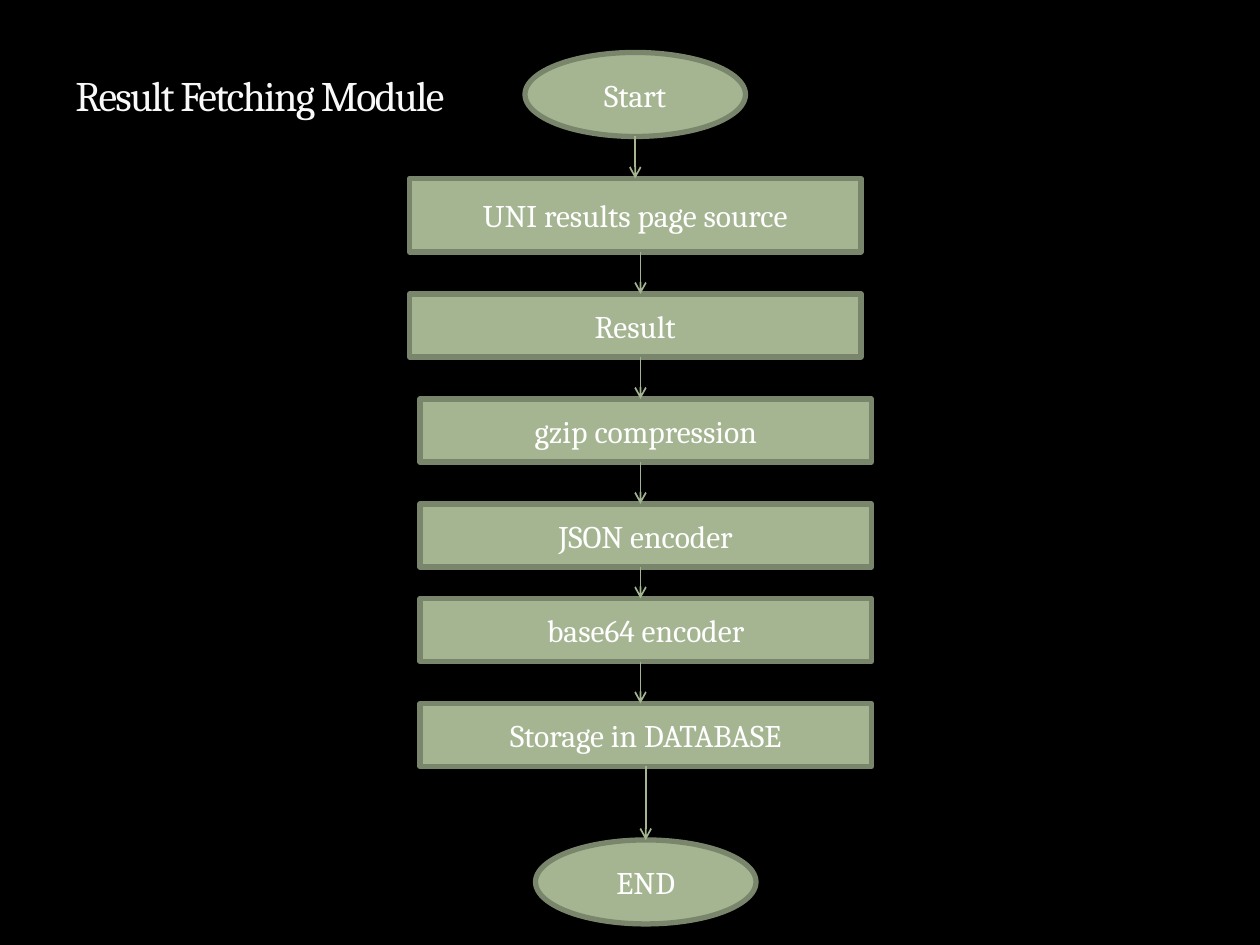
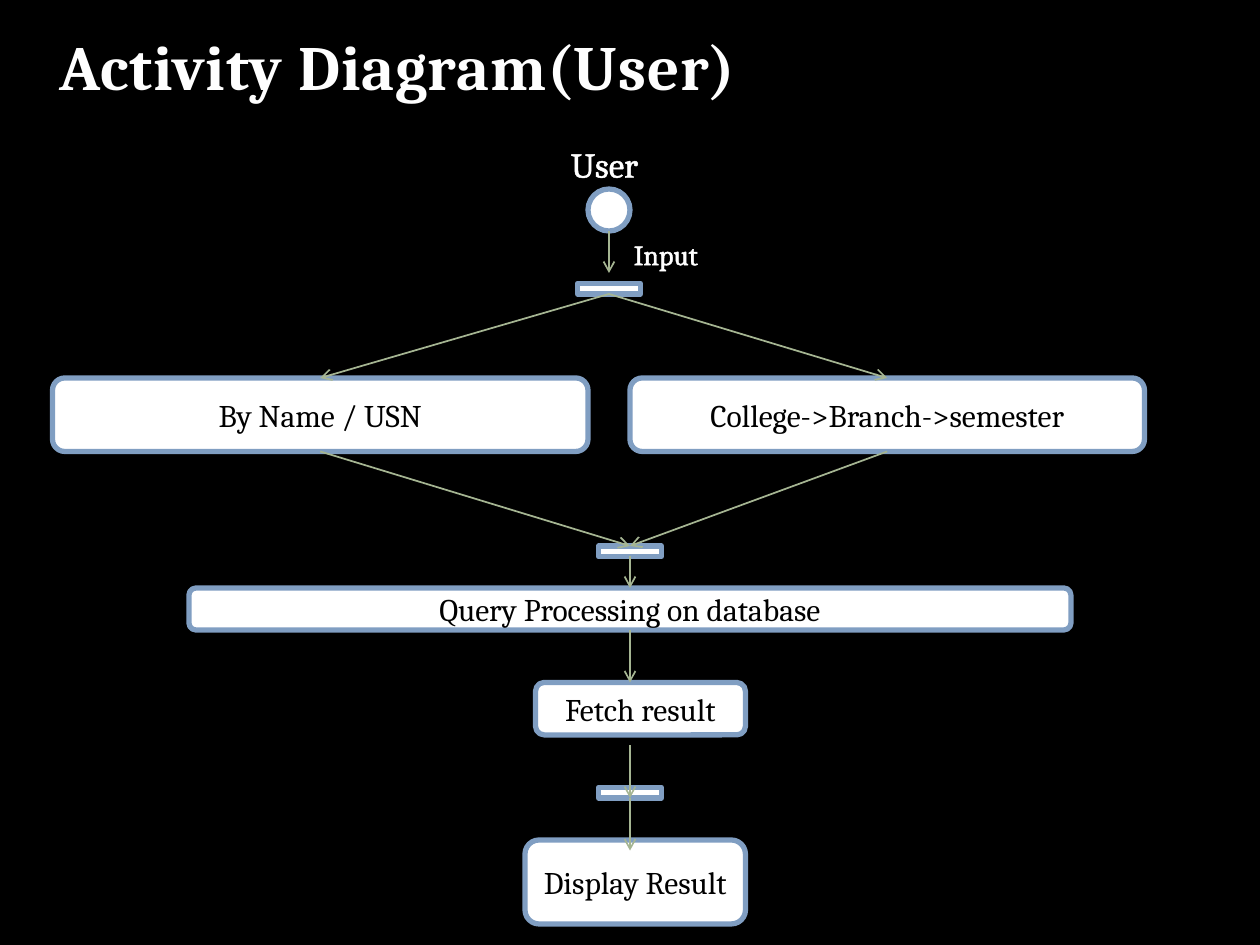
from lxml import etree
from pptx import Presentation
from pptx import util as u
from pptx.dml.color import RGBColor
from pptx.enum import shapes, text
from pptx.oxml import ns

Pt = u.Pt
BLACK = RGBColor(0, 0, 0)
WHITE = RGBColor(255, 255, 255)
SOFT_WHITE = RGBColor(0xF9, 0xF9, 0xF9)
BRIGHT_WHITE = RGBColor(0xFE, 0xFE, 0xFE)
SAGE = RGBColor(0xA5, 0xB5, 0x92)
DARK_SAGE = RGBColor(0x7A, 0x86, 0x6C)
MOSS = RGBColor(0x3C, 0x44, 0x22)
BLUE = RGBColor(0x80, 0x9E, 0xC2)
STEEL = RGBColor(0x6E, 0x8F, 0xB6)

OVAL = shapes.MSO_SHAPE.OVAL
RECT = shapes.MSO_SHAPE.RECTANGLE
BAR = shapes.MSO_SHAPE.FLOWCHART_PROCESS
ROUNDED = shapes.MSO_SHAPE.FLOWCHART_ALTERNATE_PROCESS
LEFT = text.PP_ALIGN.LEFT
CENTER = text.PP_ALIGN.CENTER
TOP = text.MSO_ANCHOR.TOP
MIDDLE = text.MSO_ANCHOR.MIDDLE
BOTTOM = text.MSO_ANCHOR.BOTTOM

GREEN_STYLE = {"fill": SAGE, "line": DARK_SAGE, "ink": WHITE}
BLUE_STYLE = {"fill": WHITE, "line": BLUE, "ink": BLACK}


def blank_slide(prs):
    """Add a blank slide with the black background."""
    s = prs.slides.add_slide(prs.slide_layouts[6])
    s.background.fill.solid()
    s.background.fill.fore_color.rgb = BLACK
    return s


def write(tf, wording, size, color, align=CENTER, anchor=MIDDLE, bold=False):
    """Write one formatted run and return it."""
    tf.vertical_anchor = anchor
    p = tf.paragraphs[0]
    p.alignment = align
    r = p.add_run()
    r.text = wording
    for name, value in {"name": "Cambria", "size": Pt(size), "bold": bold}.items():
        setattr(r.font, name, value)
    r.font.color.rgb = color
    return r


def add_color(parent, color, alpha=100):
    """Append an RGB colour, with its opacity in percent."""
    clr = etree.SubElement(parent, ns.qn("a:srgbClr"), val=str(color))
    if alpha < 100:
        etree.SubElement(clr, ns.qn("a:alpha"), val=str(alpha * 1000))


def outline(r, color, width, alpha=100):
    """Give the letters of a run an outline."""
    ln = etree.Element(ns.qn("a:ln"), w=str(Pt(width)))
    add_color(etree.SubElement(ln, ns.qn("a:solidFill")), color, alpha)
    r.font._element.insert(0, ln)


def shadow(r, color):
    """Give the letters of an outlined run a soft shadow."""
    effects = etree.Element(ns.qn("a:effectLst"))
    outer = etree.SubElement(effects, ns.qn("a:outerShdw"), blurRad=str(Pt(2)),
                             dist=str(Pt(2)), dir="2700000")
    add_color(outer, color, 60)
    r.font._element.insert(2, effects)


def label(s, box, wording, size, color, wrap=False, **layout):
    """Add a text box and return its run."""
    tf = s.shapes.add_textbox(*map(Pt, box)).text_frame
    tf.word_wrap = wrap
    return write(tf, wording, size, color, **layout)


def node(s, kind, box, style, wording=None):
    """Add a bordered shape with optional centred text."""
    sp = s.shapes.add_shape(kind, *map(Pt, box))
    sp.shadow.inherit = False
    sp.fill.solid()
    sp.fill.fore_color.rgb = style["fill"]
    sp.line.color.rgb = style["line"]
    sp.line.width = Pt(3)
    if wording:
        write(sp.text_frame, wording, 18, style["ink"])


def arrow(s, x1, y1, x2, y2):
    """Add a thin sage line with an open arrowhead at its end."""
    c = s.shapes.add_connector(shapes.MSO_CONNECTOR.STRAIGHT, *map(Pt, (x1, y1, x2, y2)))
    c.line.color.rgb = SAGE
    c.line.width = Pt(1)
    etree.SubElement(c.line._get_or_add_ln(), ns.qn("a:tailEnd"), type="arrow")
    etree.SubElement(c._element.spPr, ns.qn("a:effectLst"))


def fetch_flow(s, left, top):
    """Draw the vertical result fetching flow."""
    sizes = {OVAL: (126, 48), RECT: (258, 36)}
    steps = [
        (OVAL, "Start", 66, 0, 48, 129),
        (RECT, "UNI results page source", 0, 72, 42, 132),
        (RECT, "Result", 0, 138, 36, 132),
        (RECT, "gzip compression", 6, 198, 36, 132),
        (RECT, "JSON encoder", 6, 258, 36, 132),
        (RECT, "base64 encoder", 6, 312, 36, 132),
        (RECT, "Storage in DATABASE", 6, 372, 36, 135),
        (OVAL, "END", 72, 450, 48, None),
    ]
    for kind, wording, dx, dy, height, _ in steps:
        node(s, kind, (left + dx, top + dy, sizes[kind][0], height), GREEN_STYLE, wording)
    for (_, _, _, dy, height, x), (_, _, _, next_dy, _, _) in zip(steps, steps[1:]):
        arrow(s, left + x, top + dy + height, left + x, top + next_dy)


def user_activity(s, left, top):
    """Draw the user activity from input to displayed result."""
    nodes = [
        (OVAL, (306, 30, 24, 24), None),
        (ROUNDED, (330, 138, 294, 42), "College->Branch->semester"),
        (ROUNDED, (0, 138, 306, 42), "By Name / USN"),
        (ROUNDED, (78, 258, 504, 24), "Query Processing on database"),
        (ROUNDED, (276, 312, 120, 30), "Fetch result"),
        (ROUNDED, (270, 402, 126, 48), "Display Result"),
        (BAR, (300, 84, 36, 6), None),
        (BAR, (312, 234, 36, 6), None),
        (BAR, (312, 372, 36, 6), None),
    ]
    for kind, (dx, dy, w, h), wording in nodes:
        node(s, kind, (left + dx, top + dy, w, h), BLUE_STYLE, wording)

    start, main = 318, 330
    links = [(start, 54, start, 78)]
    for branch in (153, 477):
        links += [(start, 90, branch, 138), (branch, 180, main, 234)]
    links += [(main, y1, main, y2)
              for y1, y2 in ((240, 258), (282, 312), (348, 378), (378, 408))]
    for x1, y1, x2, y2 in links:
        arrow(s, left + x1, top + y1, left + x2, top + y2)

    for wording, size, (dx, dy, w, h) in (("User", 20, (288, 0, 55, 32)),
                                          ("Input", 16, (324, 54, 53, 27))):
        r = label(s, (left + dx, top + dy, w, h), wording, size, WHITE, anchor=TOP)
        outline(r, WHITE, 1.45)


def fetching_slide(prs):
    """Build the result fetching slide."""
    s = blank_slide(prs)
    r = label(s, (36, 12, 648, 60), "Result Fetching Module", 24, SOFT_WHITE,
              wrap=True, align=LEFT, anchor=BOTTOM)
    r.font._element.set("spc", "-100")
    outline(r, MOSS, 0.25, 25)
    fetch_flow(s, 234, 30)


def activity_slide(prs):
    """Build the user activity slide."""
    s = blank_slide(prs)
    r = label(s, (13, 12, 429, 51), "Activity Diagram(User)", 36, BRIGHT_WHITE,
              anchor=TOP, bold=True)
    r.font._element.set("spc", "50")
    outline(r, STEEL, 1)
    shadow(r, STEEL)
    user_activity(s, 30, 78)


def main():
    """Build and save the presentation."""
    prs = Presentation()
    prs.slide_width, prs.slide_height = Pt(720), Pt(540)
    fetching_slide(prs)
    activity_slide(prs)
    prs.save("out.pptx")


if __name__ == "__main__":
    main()
